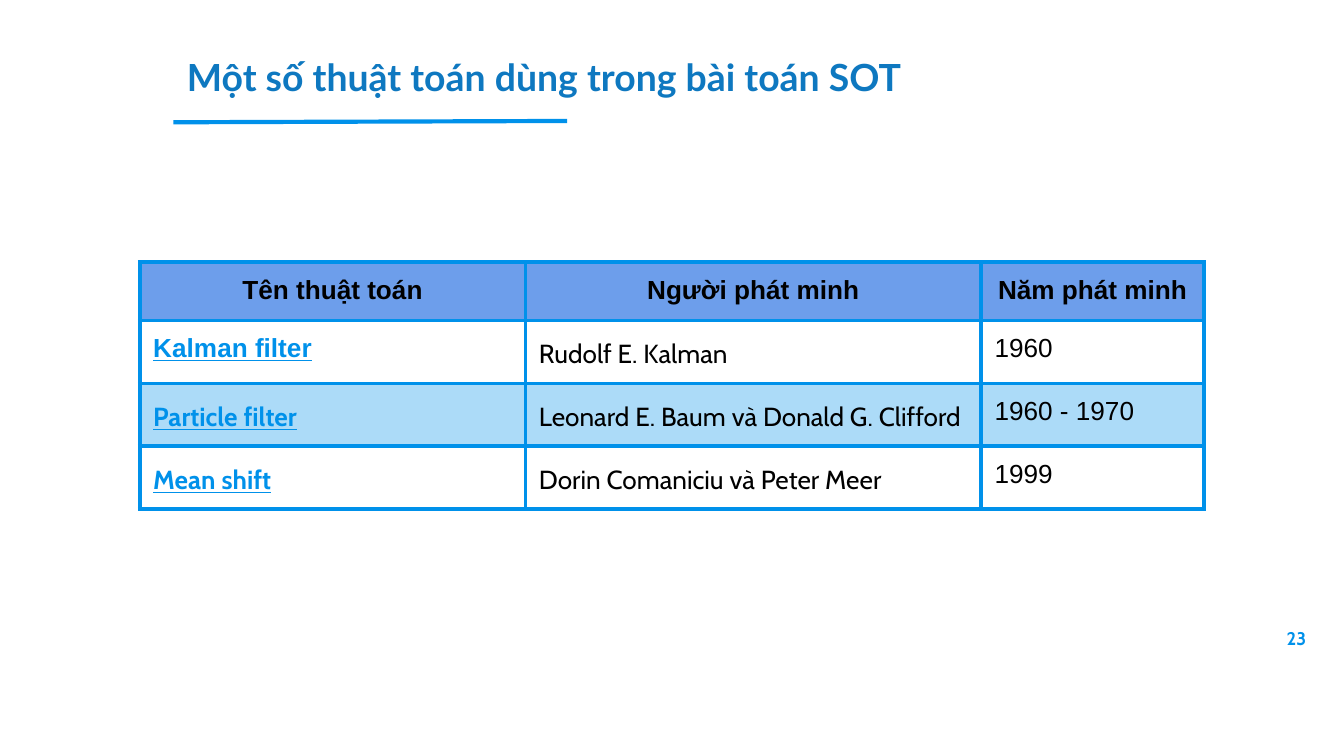
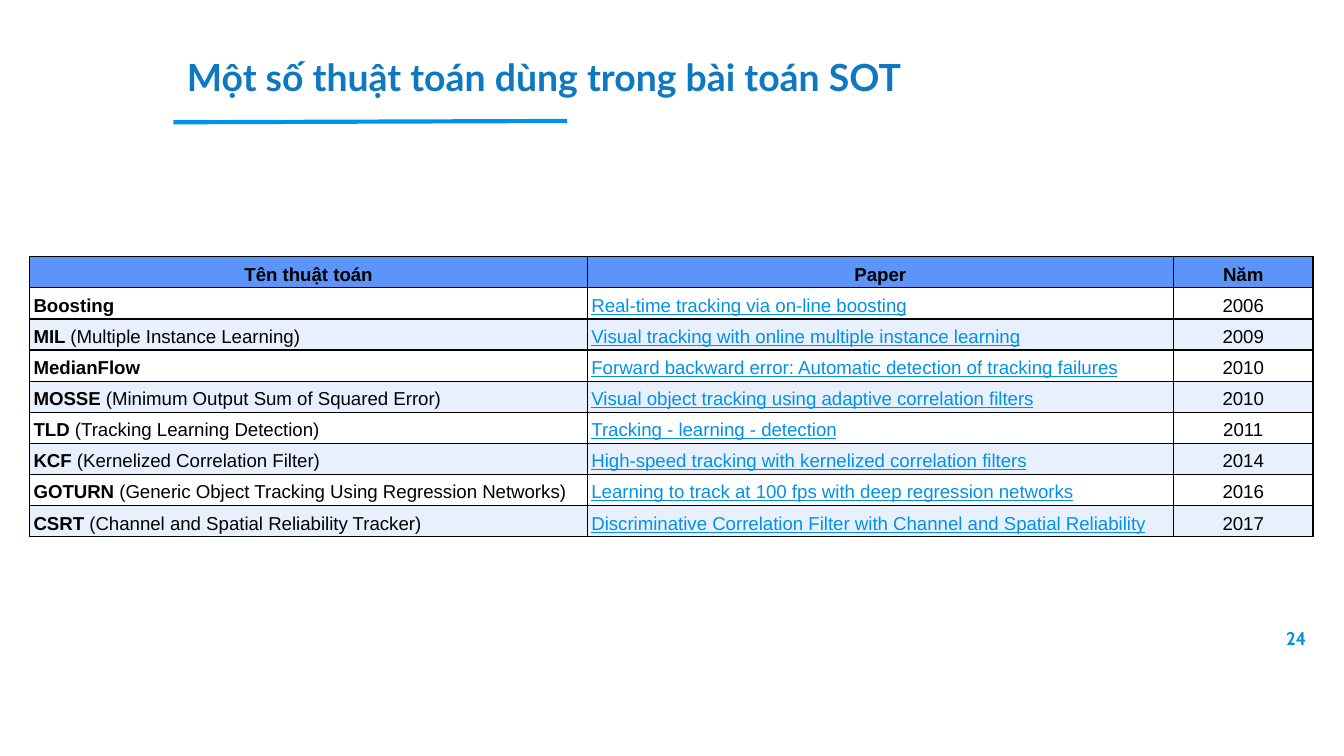
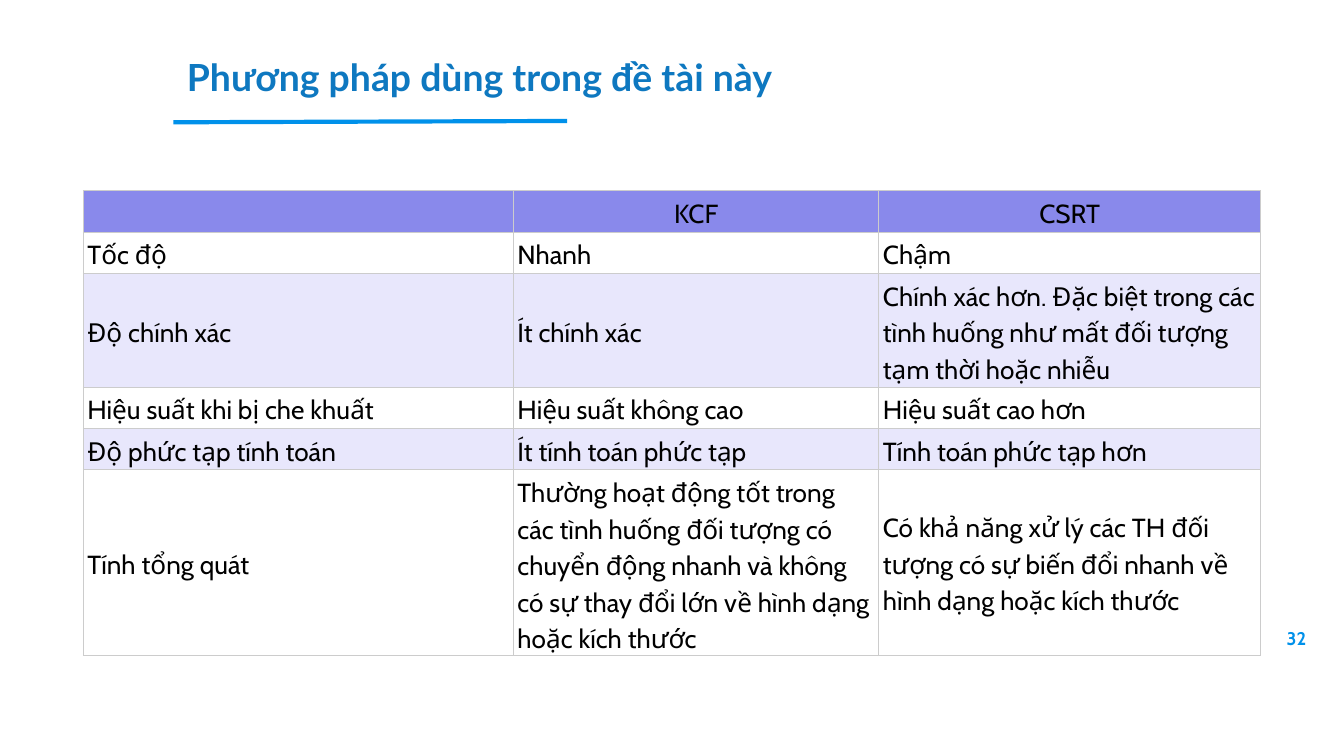
from dataclasses import dataclass, replace

from lxml.etree import SubElement
from pptx import Presentation
from pptx.dml.color import RGBColor
from pptx.enum.shapes import MSO_CONNECTOR
from pptx.enum.text import MSO_ANCHOR as ANCHOR, MSO_AUTO_SIZE as AUTO_SIZE, PP_ALIGN as ALIGN
from pptx.oxml.ns import qn
from pptx.util import Inches, Pt

# Shared look
BLUE = "0091EA"
TITLE_BLUE = "0E78C0"
BLACK = "000000"
WHITE = "FFFFFF"
TITLE_BOX = (1.29, 0.3, 6.64, 0.54)
NUMBER_BOX = (9.19, 4.6, 0.6, 0.32)
RULE_START, RULE_END = (1.29, 0.91), (4.22, 0.9)


@dataclass
class TextStyle:
    font: str
    size: float
    colour: str = BLACK
    bold: bool = False
    underline: bool = False


@dataclass
class Cell:
    spans: list  # pairs of text and TextStyle
    align: ALIGN = ALIGN.LEFT
    spacing: float = 1.15


@dataclass
class TableLook:
    columns: list
    row_height: float
    header_fill: str
    band_fills: tuple  # odd and even body rows; None is no fill
    border: tuple  # colour and width
    margins: tuple = (0.03, 0.02)  # sides, top and bottom
    anchor: ANCHOR = ANCHOR.TOP


def rgb(value):
    return RGBColor.from_string(value)


def place(shape, box):
    shape.left, shape.top, shape.width, shape.height = map(Inches, box)


def add_span(para, text, style):
    span = para.add_run()
    span.text = text
    font = span.font
    font.name, font.size = style.font, Pt(style.size)
    font.bold, font.underline = style.bold, style.underline
    font.color.rgb = rgb(style.colour)


def set_margins(target, sides, ends):
    target.margin_left = target.margin_right = Inches(sides)
    target.margin_top = target.margin_bottom = Inches(ends)


# Title, rule and page number
def add_title(page, text):
    title = page.shapes.title
    place(title, TITLE_BOX)
    frame = title.text_frame
    frame.word_wrap = True
    frame.auto_size = AUTO_SIZE.SHAPE_TO_FIT_TEXT
    frame.vertical_anchor = ANCHOR.TOP
    set_margins(frame, 0.1, 0.1)
    para = frame.paragraphs[0]
    para.alignment = ALIGN.LEFT
    add_span(para, text, TextStyle("Lato", 20, TITLE_BLUE, bold=True))


def add_rule(page):
    rule = page.shapes.add_connector(
        MSO_CONNECTOR.STRAIGHT, *map(Inches, RULE_START + RULE_END))
    rule.line.color.rgb = rgb(BLUE)
    rule.line.width = Pt(2.25)
    SubElement(rule._element.spPr, qn("a:effectLst"))


def add_number(page, number):
    box = page.shapes.add_textbox(*map(Inches, NUMBER_BOX))
    frame = box.text_frame
    frame.word_wrap = True
    set_margins(frame, 0.07, 0.07)
    para = frame.paragraphs[0]
    para.alignment = ALIGN.RIGHT
    add_span(para, str(number), TextStyle("Cabin", 9.8, BLUE, bold=True))


def add_page(deck, title, number):
    page = deck.slides.add_slide(deck.slide_layouts[5])
    add_number(page, number)
    add_rule(page)
    add_title(page, title)
    return page


# Tables
def set_borders(table_cell, colour, width):
    props = table_cell._tc.get_or_add_tcPr()
    for side in ("lnL", "lnR", "lnT", "lnB"):
        line = SubElement(props, qn(f"a:{side}"), w=str(Pt(width)))
        fill = SubElement(line, qn("a:solidFill"))
        SubElement(fill, qn("a:srgbClr"), val=colour)


def fill_cell(table_cell, cell, look, fill):
    set_borders(table_cell, *look.border)
    if fill:
        table_cell.fill.solid()
        table_cell.fill.fore_color.rgb = rgb(fill)
    else:
        table_cell.fill.background()
    set_margins(table_cell, *look.margins)
    table_cell.vertical_anchor = look.anchor
    para = table_cell.text_frame.paragraphs[0]
    para.alignment, para.line_spacing = cell.align, cell.spacing
    for text, style in cell.spans:
        if text:
            add_span(para, text, style)
        else:  # keeps an empty cell as low as its row
            para._p.get_or_add_endParaRPr().set("sz", str(style.size * 100))


def add_grid(page, box, look, rows):
    frame = page.shapes.add_table(len(rows), len(look.columns), *map(Inches, box))
    table = frame.table
    table.first_row = table.horz_banding = False
    for column, width in zip(table.columns, look.columns):
        column.width = Inches(width)
    for index, (table_row, row) in enumerate(zip(table.rows, rows)):
        table_row.height = Inches(look.row_height)
        fill = look.band_fills[(index - 1) % 2] if index else look.header_fill
        for table_cell, cell in zip(table_row.cells, row):
            fill_cell(table_cell, cell, look, fill)
    frame.height = Inches(box[3])


def header_row(labels, style, spacing=1.15):
    return [Cell([(label, style)], ALIGN.CENTER, spacing) for label in labels]


# Slide types
def inventors_slide(deck, title, number):
    arial, cabin = TextStyle("Arial", 14), TextStyle("Cabin", 14)
    algorithms = [
        ("Kalman filter", arial, 1, "Rudolf E. Kalman", "1960"),
        ("Particle filter", cabin, 1.15, "Leonard E. Baum và Donald G. Clifford", "1960 - 1970"),
        ("Mean shift", cabin, 1.15, "Dorin Comaniciu và Peter Meer", "1999"),
    ]
    rows = [header_row(("Tên thuật toán", "Người phát minh", "Năm phát minh"),
                       replace(arial, bold=True), 1)]
    for name, style, spacing, inventor, year in algorithms:
        name_style = replace(style, colour=BLUE, bold=True, underline=True)
        rows.append([Cell([(name, name_style)], spacing=spacing),
                     Cell([(inventor, cabin)]),
                     Cell([(year, arial)], spacing=1)])
    look = TableLook([2.87, 3.39, 1.66], 0.42, "6D9EEB", (None, "ACDBF8"),
                     (BLUE, 2.25), margins=(0.1, 0.1))
    add_grid(add_page(deck, title, number), (1.04, 1.95, 7.92, 1.78), look, rows)


def papers_slide(deck, title, number):
    plain = TextStyle("Arial", 10)
    strong = replace(plain, bold=True)
    linked = replace(plain, colour=BLUE, underline=True)
    papers = [
        ("Boosting", "", "Real-time tracking via on-line boosting", 2006),
        ("MIL", "Multiple Instance Learning",
         "Visual tracking with online multiple instance learning", 2009),
        ("MedianFlow", "",
         "Forward backward error: Automatic detection of tracking failures", 2010),
        ("MOSSE", "Minimum Output Sum of Squared Error",
         "Visual object tracking using adaptive correlation filters", 2010),
        ("TLD", "Tracking Learning Detection", "Tracking - learning - detection", 2011),
        ("KCF", "Kernelized Correlation Filter",
         "High-speed tracking with kernelized correlation filters", 2014),
        ("GOTURN", "Generic Object Tracking Using Regression Networks",
         "Learning to track at 100 fps with deep regression networks", 2016),
        ("CSRT", "Channel and Spatial Reliability Tracker",
         "Discriminative Correlation Filter with Channel and Spatial Reliability", 2017),
    ]
    rows = [header_row(("Tên thuật toán", "Paper", "Năm"), strong)]
    for name, meaning, paper, year in papers:
        if meaning:
            name_spans = [(f"{name} ", strong), (f"({meaning})", plain)]
        else:
            name_spans = [(name, strong)]
        rows.append([Cell(name_spans), Cell([(paper, linked)]),
                     Cell([(str(year), plain)], ALIGN.CENTER)])
    look = TableLook([4.15, 4.36, 1.04], 0.22, "5B95F9", (WHITE, "E8F0FE"),
                     (BLACK, 0.75), anchor=ANCHOR.BOTTOM)
    add_grid(add_page(deck, title, number), (0.22, 1.91, 9.55, 1.97), look, rows)


def comparison_slide(deck, title, number):
    plain = TextStyle("Cabin", 14)
    criteria = [
        ("Tốc độ", "Nhanh", "Chậm"),
        ("Độ chính xác", "Ít chính xác",
         "Chính xác hơn. Đặc biệt trong các tình huống như mất đối tượng "
         "tạm thời hoặc nhiễu"),
        ("Hiệu suất khi bị che khuất", "Hiệu suất không cao", "Hiệu suất cao hơn"),
        ("Độ phức tạp tính toán", "Ít tính toán phức tạp", "Tính toán phức tạp hơn"),
        ("Tính tổng quát",
         "Thường hoạt động tốt trong các tình huống đối tượng có chuyển động nhanh "
         "và không có sự thay đổi lớn về hình dạng hoặc kích thước",
         "Có khả năng xử lý các TH đối tượng có sự biến đổi nhanh về hình dạng "
         "hoặc kích thước"),
    ]
    rows = [header_row(("", "KCF", "CSRT"), plain)]
    rows += [[Cell([(text, plain)]) for text in texts] for texts in criteria]
    look = TableLook([3.2, 2.72, 2.84], 0.22, "8989EB", (WHITE, "E8E7FC"),
                     ("CCCCCC", 0.6), anchor=ANCHOR.MIDDLE)
    add_grid(add_page(deck, title, number), (0.62, 1.42, 8.77, 3.37), look, rows)


def main():
    deck = Presentation()
    deck.slide_width = Inches(10)
    deck.slide_height = deck.slide_width * 9 // 16
    algorithms_title = "Một số thuật toán dùng trong bài toán SOT"
    inventors_slide(deck, algorithms_title, 23)
    papers_slide(deck, algorithms_title, 24)
    comparison_slide(deck, "Phương pháp dùng trong đề tài này", 32)
    deck.save("out.pptx")


if __name__ == "__main__":
    main()
